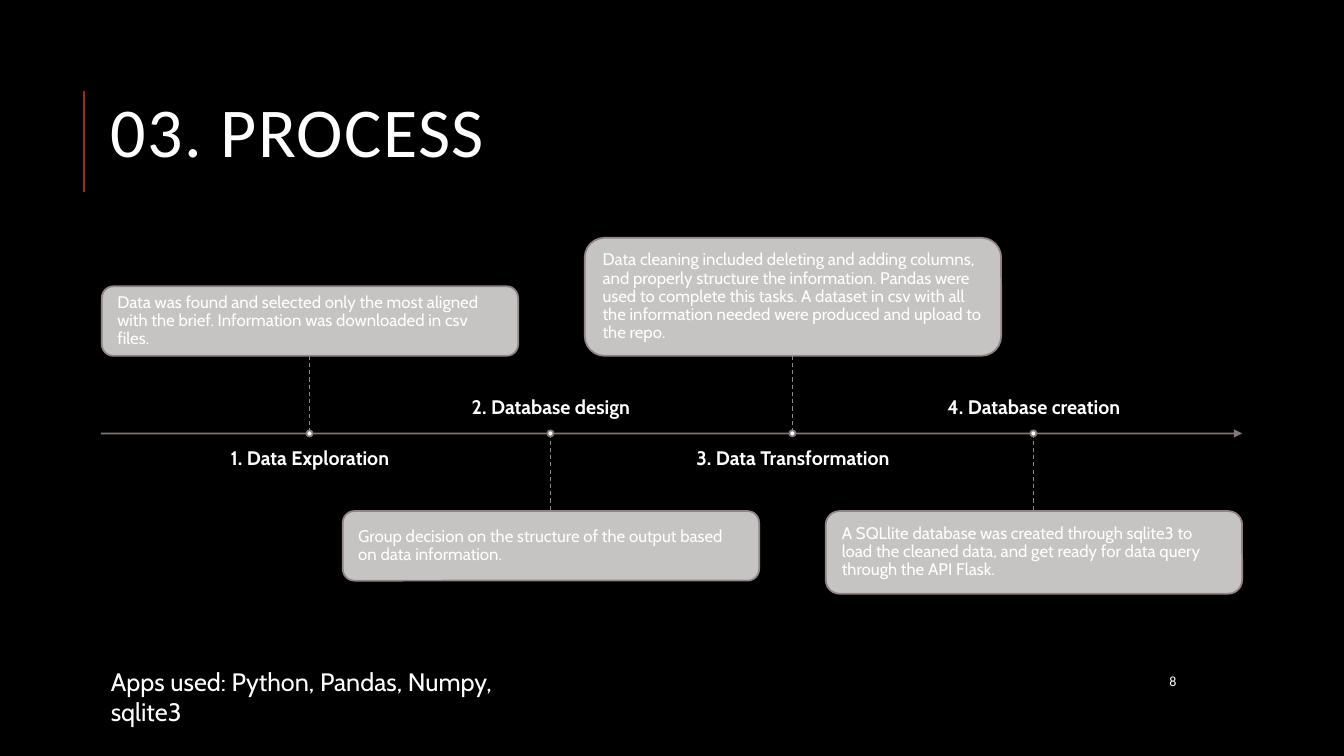
from dataclasses import dataclass

from lxml.etree import SubElement
from pptx import Presentation
from pptx.dml.color import RGBColor
from pptx.enum.dml import MSO_LINE_DASH_STYLE as Dash
from pptx.enum.shapes import MSO_CONNECTOR_TYPE as Connector, MSO_SHAPE as Preset
from pptx.enum.text import MSO_ANCHOR as Anchor, PP_ALIGN as Align
from pptx.oxml.ns import qn
from pptx.util import Pt

PX = 9144  # EMU in one px, 100 px to the inch


@dataclass(frozen=True)
class Theme:
    background: str = "000000"
    text: str = "FFFFFF"
    accent: str = "9B2D1F"
    card: str = "DCD9D9"
    outline: str = "918485"
    dot_outline: str = "847879"
    heading_font: str = "Calibri"
    body_font: str = "Cabin"
    title_size: int = 50
    footer_size: int = 18
    label_size: int = 14
    card_size: int = 12
    number_size: int = 10


THEME = Theme()

# Timeline geometry
AXIS_LEFT, AXIS_RIGHT, AXIS_Y = 100, 1232, 430
FIRST_CENTER, LAST_CENTER = 307, 1025
STEM = 77
CARD_WIDTH = 413
LABEL_WIDTH, LABEL_HEIGHT, LABEL_GAP = 363, 46, 15
DOT = 6

# Label, card text, card height; cards alternate above and below the axis
STEPS = [
    ("1. Data Exploration",
     "Data was found and selected only the most aligned with the brief. "
     "Information was downloaded in csv files.", 69),
    ("2. Database design",
     "Group decision on the structure of the output based on data information.", 69),
    ("3. Data Transformation",
     "Data cleaning included deleting and adding columns, and properly structure "
     "the information. Pandas were used to complete this tasks. A dataset in csv "
     "with all the information needed were produced and upload to the repo.", 117),
    ("4. Database creation",
     "A SQLlite database was created through sqlite3 to load the cleaned data, "
     "and get ready for data query through the API Flask.", 82),
]


def emu(*lengths):
    return [length * PX for length in lengths]


def color(value):
    return RGBColor.from_string(value)


def set_attributes(target, values):
    for name, value in values.items():
        setattr(target, name, value)


def set_alpha(properties, percent):
    for value in properties.iter(qn("a:srgbClr")):
        SubElement(value, qn("a:alpha"), val=str(percent * 1000))


def write(shape, text, size, font=THEME.body_font, bold=False, anchor=Anchor.TOP,
          align=Align.LEFT, line_spacing=None, insets=(10, 5)):
    side, edge = emu(*insets)
    frame = shape.text_frame
    set_attributes(frame, {
        "word_wrap": True, "vertical_anchor": anchor,
        "margin_left": side, "margin_right": side,
        "margin_top": edge, "margin_bottom": edge,
    })
    paragraph = frame.paragraphs[0]
    set_attributes(paragraph, {"alignment": align, "line_spacing": line_spacing})
    run = paragraph.add_run()
    run.text = text
    set_attributes(run.font, {"name": font, "size": Pt(size), "bold": bold})
    run.font.color.rgb = color(THEME.text)
    return run


def add_text(slide, box, text, size, **formats):
    return write(slide.shapes.add_textbox(*emu(*box)), text, size, **formats)


def add_line(slide, start, end, line_color, width, dash=Dash.SOLID):
    connector = slide.shapes.add_connector(Connector.STRAIGHT, *emu(*start, *end))
    set_attributes(connector.line, {"width": Pt(width), "dash_style": dash})
    connector.line.color.rgb = color(line_color)
    SubElement(connector._element.spPr, qn("a:effectLst"))
    return connector


def add_preset(slide, preset, box, fill, outline):
    shape = slide.shapes.add_shape(preset, *emu(*box))
    shape.shadow.inherit = False
    shape.fill.solid()
    shape.fill.fore_color.rgb = color(fill)
    shape.line.color.rgb = color(outline)
    shape.line.width = Pt(1.25)
    return shape


def add_axis(slide):
    axis = add_line(slide, (AXIS_LEFT, AXIS_Y), (AXIS_RIGHT, AXIS_Y), THEME.outline, 1.25)
    line = axis.line._get_or_add_ln()
    set_alpha(line, 90)
    SubElement(line, qn("a:tailEnd"), type="triangle")


def add_step(slide, center, above, label, text, height):
    # Heading on the side of the axis opposite the card
    label_top = AXIS_Y + LABEL_GAP if above else AXIS_Y - LABEL_GAP - LABEL_HEIGHT
    add_text(slide, (center - LABEL_WIDTH // 2, label_top, LABEL_WIDTH, LABEL_HEIGHT),
             label, THEME.label_size, bold=True, align=Align.CENTER, line_spacing=0.9,
             anchor=Anchor.TOP if above else Anchor.BOTTOM, insets=(0, 0))

    # Card
    card_top = AXIS_Y - STEM - height if above else AXIS_Y + STEM
    card = add_preset(slide, Preset.ROUNDED_RECTANGLE,
                      (center - CARD_WIDTH // 2, card_top, CARD_WIDTH, height),
                      THEME.card, THEME.outline)
    set_alpha(card._element.spPr.find(qn("a:solidFill")), 90)
    write(card, text, THEME.card_size, anchor=Anchor.MIDDLE, line_spacing=0.9,
          insets=(12, 12))

    # Stem and dot
    stem_end = AXIS_Y - STEM if above else AXIS_Y + STEM
    add_line(slide, (center, min(AXIS_Y, stem_end)), (center, max(AXIS_Y, stem_end)),
             THEME.outline, 0.75, Dash.DASH)
    add_preset(slide, Preset.OVAL, (center - DOT // 2, AXIS_Y - DOT // 2, DOT, DOT),
               THEME.text, THEME.dot_outline)


def main():
    presentation = Presentation()
    set_attributes(presentation, {"slide_width": 1333 * PX, "slide_height": 750 * PX})
    slide = presentation.slides.add_slide(presentation.slide_layouts[6])
    slide.background.fill.solid()
    slide.background.fill.fore_color.rgb = color(THEME.background)

    # Title
    add_line(slide, (83, 90), (83, 190), THEME.accent, 1.5)
    title = add_text(slide, (100, 67, 1132, 138), "03. PROCESS", THEME.title_size,
                     font=THEME.heading_font, anchor=Anchor.MIDDLE, line_spacing=0.8)
    title.font._element.set("spc", "100")

    # Timeline
    add_axis(slide)
    pitch = (LAST_CENTER - FIRST_CENTER) / (len(STEPS) - 1)
    for index, step in enumerate(STEPS):
        add_step(slide, round(FIRST_CENTER + index * pitch), index % 2 == 0, *step)

    # Footer
    add_text(slide, (1150, 656, 82, 40), "8", THEME.number_size,
             font=THEME.heading_font, anchor=Anchor.MIDDLE)
    add_text(slide, (100, 656, 449, 40), "Apps used: Python, Pandas, Numpy, sqlite3",
             THEME.footer_size)

    presentation.save("out.pptx")


if __name__ == "__main__":
    main()
